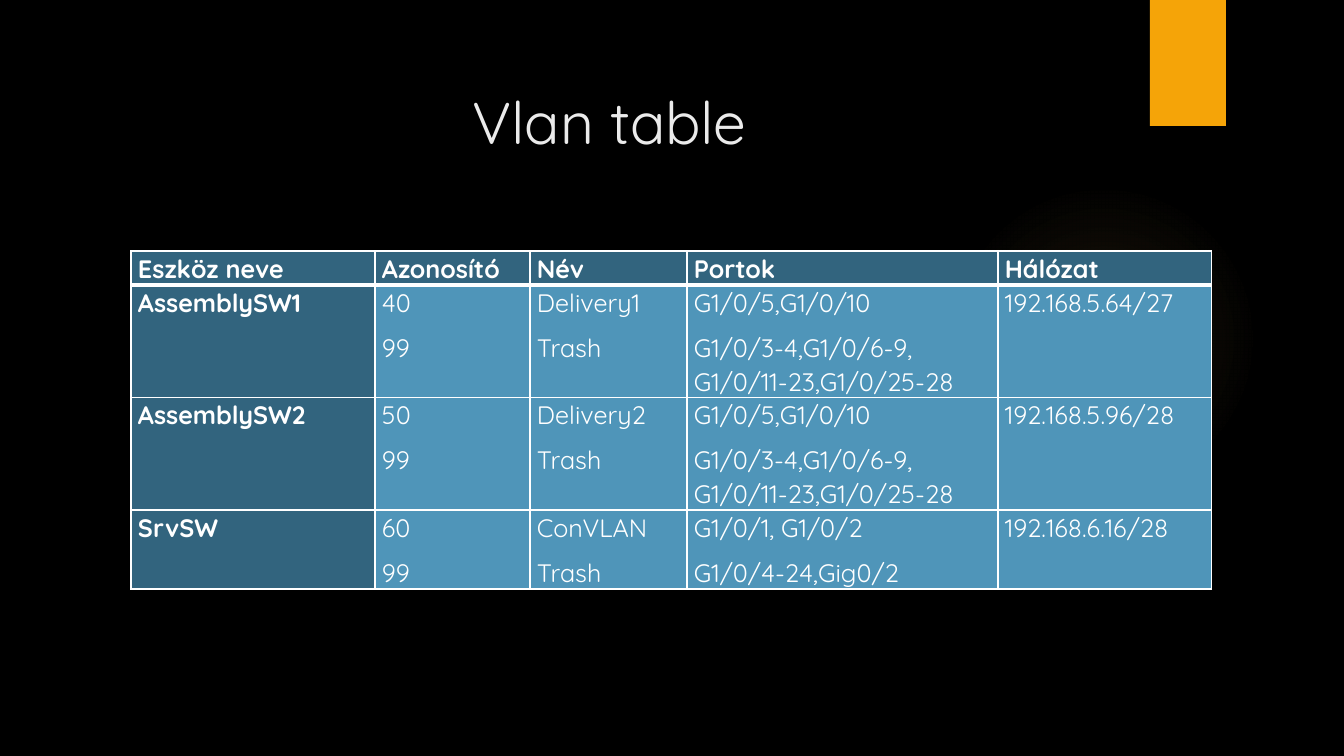
"""Build the "Vlan table" slide: switches with their VLANs, ports and networks."""
from lxml import etree
from pptx import Presentation
from pptx.dml.color import RGBColor
from pptx.enum.shapes import MSO_SHAPE
from pptx.enum.text import MSO_ANCHOR, PP_ALIGN
from pptx.oxml import parse_xml
from pptx.oxml.ns import qn
from pptx.util import Pt

PX = 12192000 / 1344
FONT = "Quicksand"
LEFT, JUSTIFY = PP_ALIGN.LEFT, PP_ALIGN.JUSTIFY
TOP = MSO_ANCHOR.TOP
OVAL, RECTANGLE = MSO_SHAPE.OVAL, MSO_SHAPE.RECTANGLE
COLORS = {
    "background": "000000",
    "glow": "FAC96A",
    "ribbon": "F5A408",
    "title": "EBEBEB",
    "text": "FFFFFF",
    "border": "FFFFFF",
    "heading": "32647E",
    "body": "4F95B9",
}
GLOW_STOPS = [(0, 7), (36, 6), (69, 0)]
COLUMN_WIDTHS = [244, 155, 157, 311, 214]
ROW_HEIGHTS = [34, 112, 112, 79]
ASSEMBLY_PORTS = "G1/0/5,G1/0/10\nG1/0/3-4,G1/0/6-9, G1/0/11-23,G1/0/25-28"
ROWS = [
    ["Eszköz neve", "Azonosító", "Név", "Portok", "Hálózat"],
    ["AssemblySW1", "40\n99", "Delivery1\nTrash", ASSEMBLY_PORTS, "192.168.5.64/27"],
    ["AssemblySW2", "50\n99", "Delivery2\nTrash", ASSEMBLY_PORTS, "192.168.5.96/28"],
    ["SrvSW", "60\n99", "ConVLAN\nTrash", "G1/0/1, G1/0/2\nG1/0/4-24,Gig0/2", "192.168.6.16/28"],
]


def px(*lengths):
    return [round(n * PX) for n in lengths]


def style_run(r, size, color, bold=False):
    r.font.name = FONT
    r.font.size = Pt(size)
    r.font.bold = bold
    r.font.color.rgb = RGBColor.from_string(COLORS[color])


prs = Presentation()
prs.slide_width, prs.slide_height = px(1344, 756)
s = prs.slides.add_slide(prs.slide_layouts[5])
s.background.fill.solid()
s.background.fill.fore_color.rgb = RGBColor.from_string(COLORS["background"])

glow = s.shapes.add_shape(OVAL, *px(949, 184, 310, 310))
glow.shadow.inherit = False
glow.line.fill.background()
stops = "".join(
    f'<a:gs pos="{pos * 1000}"><a:srgbClr val="{COLORS["glow"]}">'
    f'<a:alpha val="{alpha * 1000}"/></a:srgbClr></a:gs>'
    for pos, alpha in GLOW_STOPS
)
glow.fill.gradient()
old_fill = glow.element.spPr.find(qn("a:gradFill"))
glow.element.spPr.replace(old_fill, parse_xml(
    '<a:gradFill xmlns:a="http://schemas.openxmlformats.org/drawingml/2006/main">'
    f'<a:gsLst>{stops}</a:gsLst><a:path path="circle">'
    '<a:fillToRect l="50000" t="50000" r="50000" b="50000"/></a:path></a:gradFill>'
))

ribbon = s.shapes.add_shape(RECTANGLE, *px(1150, 0, 76, 126))
ribbon.shadow.inherit = False
ribbon.line.fill.background()
ribbon.fill.solid()
ribbon.fill.fore_color.rgb = RGBColor.from_string(COLORS["ribbon"])

title = s.shapes.title
s.shapes.element.append(title.element)
title.left, title.top, title.width, title.height = px(462, 81, 1037, 154)
tf = title.text_frame
tf.text = "Vlan table"
tf.vertical_anchor = TOP
p = tf.paragraphs[0]
p.alignment = LEFT
style_run(p.runs[0], 42, "title")

frame = s.shapes.add_table(
    len(ROWS), len(COLUMN_WIDTHS), *px(131, 251, sum(COLUMN_WIDTHS), sum(ROW_HEIGHTS)))
table = frame.table
table.horz_banding = False
for column, width in zip(table.columns, COLUMN_WIDTHS):
    column.width = px(width)[0]
for row, height in zip(table.rows, ROW_HEIGHTS):
    row.height = px(height)[0]

for i, texts in enumerate(ROWS):
    for j, text in enumerate(texts):
        cell = table.cell(i, j)
        heading = i == 0 or j == 0
        cell.margin_left, cell.margin_top, cell.margin_right, cell.margin_bottom = px(7, 0, 7, 0)
        tcPr = cell._tc.get_or_add_tcPr()
        for side in ("L", "R", "T", "B"):
            thick = (i, side) in ((0, "B"), (1, "T"))
            ln = etree.SubElement(tcPr, qn(f"a:ln{side}"), w=str(Pt(3 if thick else 1)))
            line_fill = etree.SubElement(ln, qn("a:solidFill"))
            etree.SubElement(line_fill, qn("a:srgbClr"), val=COLORS["border"])
        cell.fill.solid()
        cell.fill.fore_color.rgb = RGBColor.from_string(COLORS["heading" if heading else "body"])
        cell.text_frame.text = text
        for p in cell.text_frame.paragraphs:
            p.alignment = JUSTIFY
            p.line_spacing = 1.07
            p.space_after = Pt(8)
            style_run(p.runs[0], 18, "text", heading)

prs.save("out.pptx")
